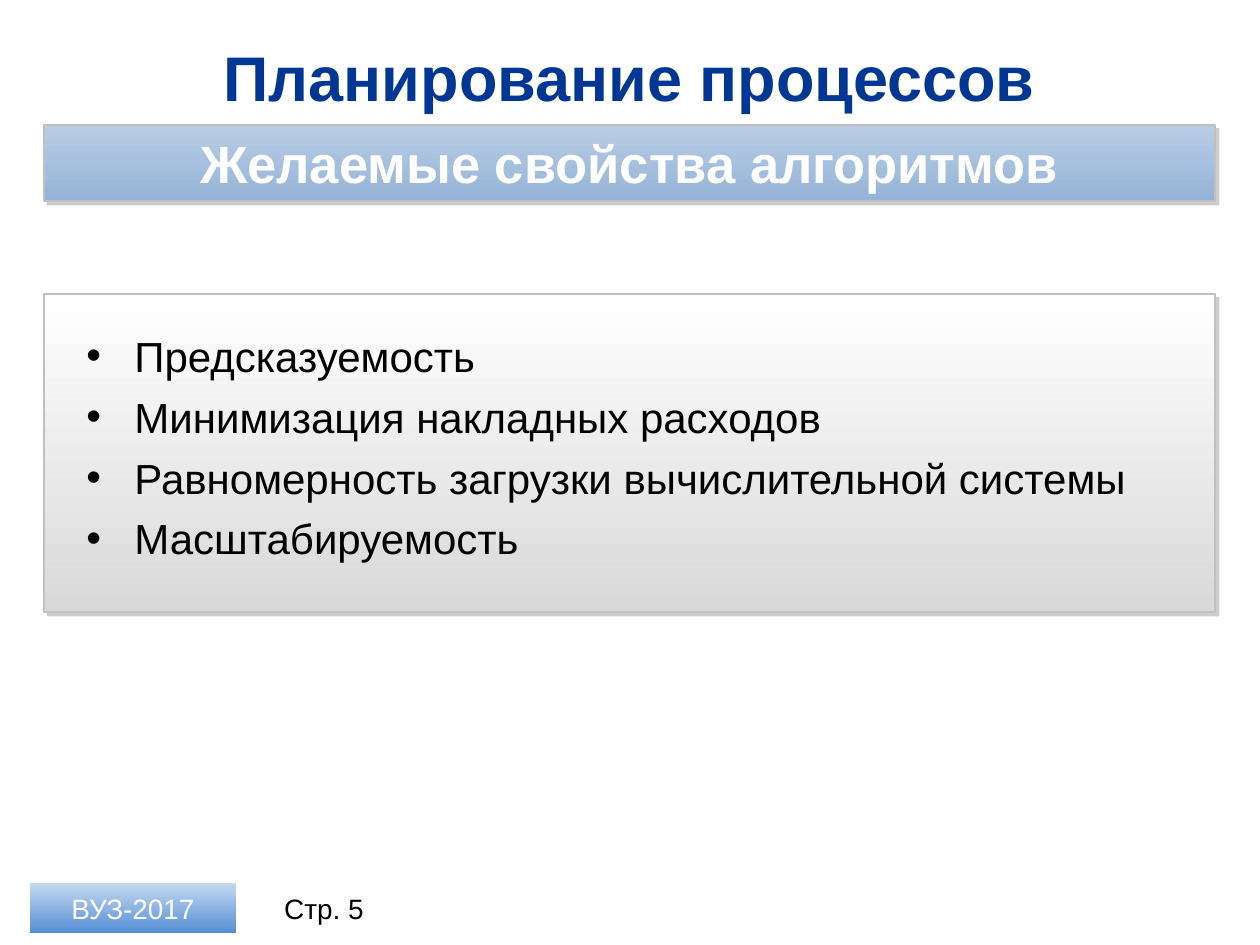
from dataclasses import dataclass

import lxml.etree
import pptx
import pptx.dml.color
import pptx.enum.shapes
import pptx.enum.text
import pptx.oxml
import pptx.oxml.ns
import pptx.util

RGBColor = pptx.dml.color.RGBColor
Align = pptx.enum.text.PP_ALIGN
Anchor = pptx.enum.text.MSO_ANCHOR

EMU_PER_PX = 914400 / 126
FONT = "Arial"
NAVY = RGBColor(0x00, 0x37, 0x94)
BLACK = RGBColor(0x00, 0x00, 0x00)
WHITE = RGBColor(0xFF, 0xFF, 0xFF)
SILVER = RGBColor(0xC0, 0xC0, 0xC0)
LIGHT_GRAY = RGBColor(0xD9, 0xD9, 0xD9)
PALE_BLUE = RGBColor(0xB9, 0xCD, 0xE5)
STEEL_BLUE = RGBColor(0x95, 0xB3, 0xD7)
BADGE_TOP = RGBColor(0xC6, 0xD9, 0xF1)
BADGE_BOTTOM = RGBColor(0x55, 0x8E, 0xD5)

BULLET_INDENT = 48
PROPERTIES = (
    "Предсказуемость",
    "Минимизация накладных расходов",
    "Равномерность загрузки вычислительной системы",
    "Масштабируемость",
)


@dataclass(frozen=True)
class Box:
    left: int
    top: int
    width: int
    height: int


@dataclass(frozen=True)
class Style:
    size: int
    color: RGBColor
    bold: bool = False


@dataclass(frozen=True)
class Panel:
    box: Box
    top_color: RGBColor
    bottom_color: RGBColor
    raised: bool = True


TITLE = Box(44, 33, 1171, 86)
PAGE_NUMBER = Box(256, 883, 136, 50)
PROPERTY_LIST = Box(74, 324, 1101, 248)
BADGE = Panel(Box(30, 883, 206, 50), BADGE_TOP, BADGE_BOTTOM, raised=False)
HEADING = Panel(Box(44, 125, 1171, 76), PALE_BLUE, STEEL_BLUE)
LIST_PANEL = Panel(Box(44, 294, 1171, 318), WHITE, LIGHT_GRAY)


def px(length: int) -> pptx.util.Emu:
    return pptx.util.Emu(round(length * EMU_PER_PX))


def place(box: Box) -> tuple:
    return px(box.left), px(box.top), px(box.width), px(box.height)


def add_run(paragraph, text: str, style: Style) -> None:
    run = paragraph.add_run()
    run.text = text
    run.font.name = FONT
    run.font.size = pptx.util.Pt(style.size)
    run.font.bold = style.bold
    run.font.color.rgb = style.color


def write_centered(shape, text: str, style: Style) -> None:
    frame = shape.text_frame
    frame.word_wrap = True
    frame.vertical_anchor = Anchor.MIDDLE
    paragraph = frame.paragraphs[0]
    paragraph.alignment = Align.CENTER
    add_run(paragraph, text, style)


def add_label(slide, box: Box, text: str, style: Style) -> None:
    write_centered(slide.shapes.add_textbox(*place(box)), text, style)


def add_hard_shadow(shape) -> None:
    effects = shape._element.spPr.find(pptx.oxml.ns.qn("a:effectLst"))
    effects.append(pptx.oxml.parse_xml(
        f'<a:outerShdw {pptx.oxml.ns.nsdecls("a")} blurRad="0" dist="38100" '
        'dir="2700000" algn="tl" rotWithShape="0">'
        '<a:srgbClr val="808080"><a:alpha val="40000"/></a:srgbClr>'
        '</a:outerShdw>'))


def add_panel(slide, panel: Panel):
    shape = slide.shapes.add_shape(
        pptx.enum.shapes.MSO_SHAPE.RECTANGLE, *place(panel.box))
    shape.shadow.inherit = False
    shape.fill.gradient()
    shape.fill.gradient_angle = 270  # counter-clockwise, so top to bottom
    colors = (panel.top_color, panel.bottom_color)
    for stop, color in zip(shape.fill.gradient_stops, colors):
        stop.color.rgb = color
    if panel.raised:
        shape.line.color.rgb = SILVER
        shape.line.width = pptx.util.Pt(1)
        add_hard_shadow(shape)
    else:
        shape.line.fill.background()
    return shape


def add_bullet(paragraph) -> None:
    properties = paragraph._p.get_or_add_pPr()
    properties.set("marL", str(px(BULLET_INDENT)))
    properties.set("indent", str(-px(BULLET_INDENT)))
    for tag, name, value in (("a:buFont", "typeface", FONT),
                             ("a:buChar", "char", "•")):
        lxml.etree.SubElement(properties, pptx.oxml.ns.qn(tag)).set(name, value)


def add_bullet_list(slide, box: Box, items: tuple, style: Style) -> None:
    frame = slide.shapes.add_textbox(*place(box)).text_frame
    frame.word_wrap = True
    frame.auto_size = pptx.enum.text.MSO_AUTO_SIZE.SHAPE_TO_FIT_TEXT
    for index, item in enumerate(items):
        paragraph = frame.add_paragraph() if index else frame.paragraphs[0]
        paragraph.space_before = pptx.util.Pt(6 if index else 0)
        add_bullet(paragraph)
        add_run(paragraph, item, style)


def main() -> None:
    presentation = pptx.Presentation()
    presentation.slide_width = px(1260)
    presentation.slide_height = px(945)
    slide = presentation.slides.add_slide(presentation.slide_layouts[6])

    # Title and footer
    add_label(slide, TITLE, "Планирование процессов", Style(36, NAVY, bold=True))
    add_label(slide, PAGE_NUMBER, "Стр. 5", Style(16, BLACK))
    write_centered(add_panel(slide, BADGE), "ВУЗ-2017", Style(16, WHITE))

    # Heading bar
    heading = add_panel(slide, HEADING)
    frame = heading.text_frame
    frame.margin_left = frame.margin_right = px(30)
    frame.margin_top = frame.margin_bottom = px(5)
    write_centered(heading, "Желаемые свойства алгоритмов",
                   Style(30, WHITE, bold=True))

    # List of properties
    add_panel(slide, LIST_PANEL)
    add_bullet_list(slide, PROPERTY_LIST, PROPERTIES, Style(24, BLACK))

    presentation.save("out.pptx")


if __name__ == "__main__":
    main()
